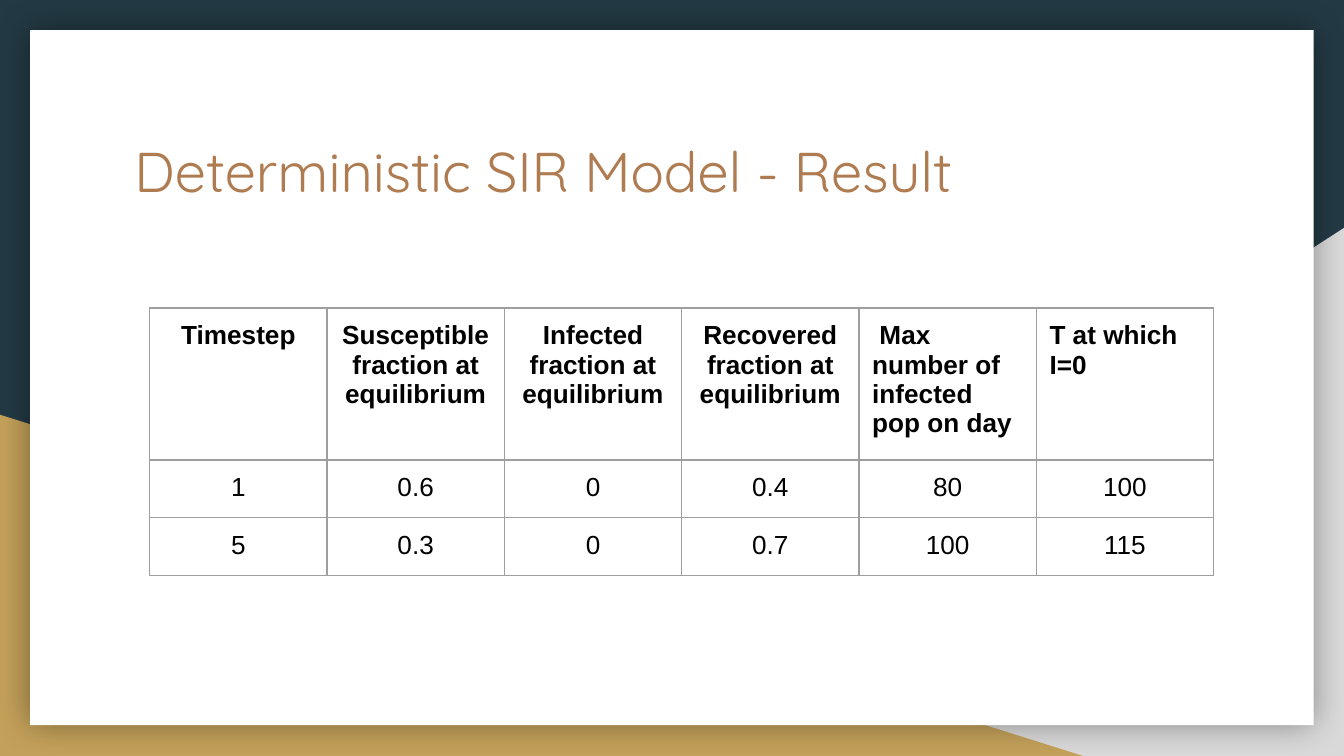
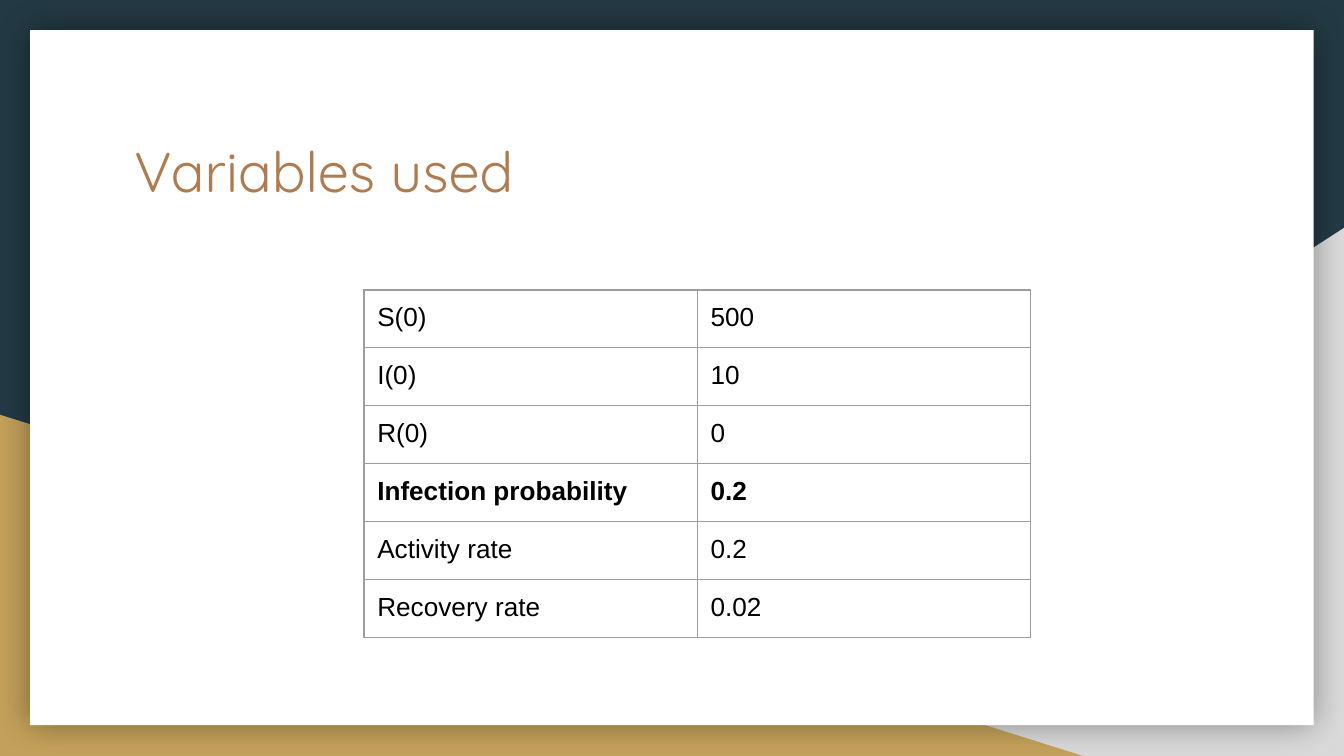
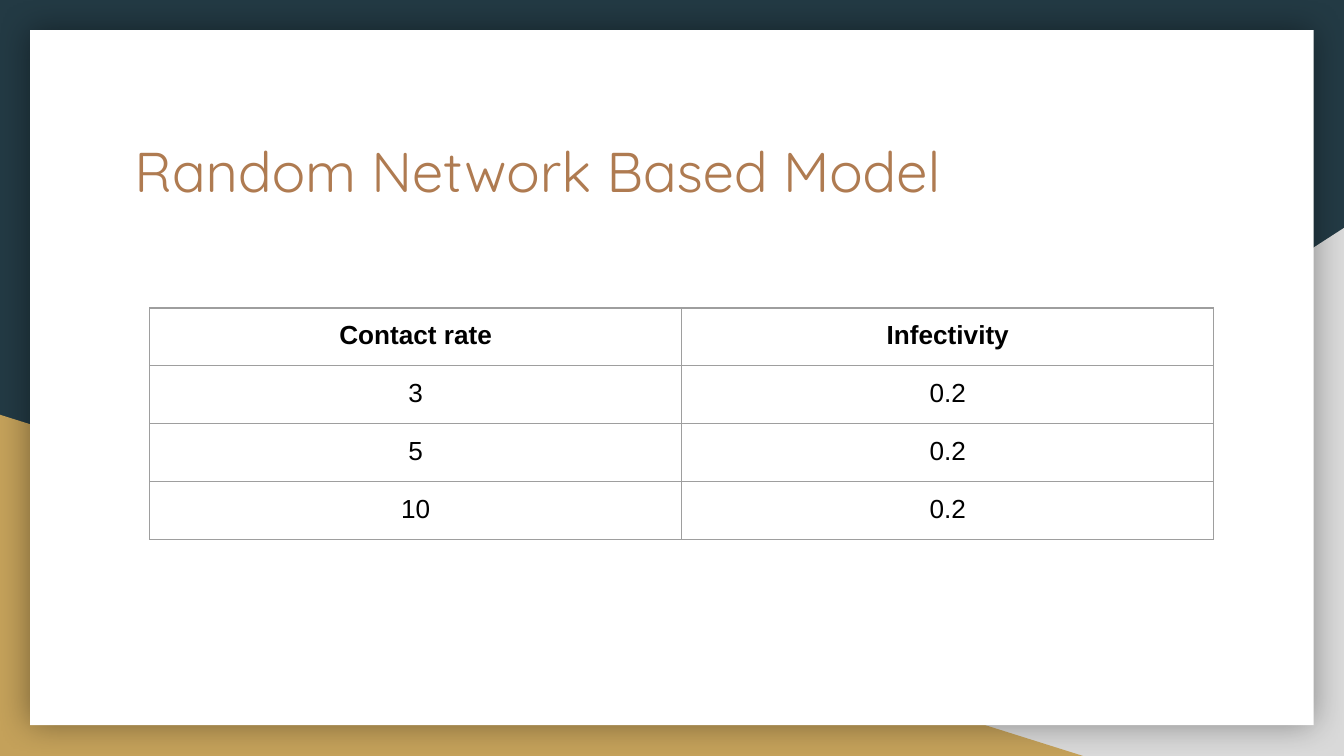
from lxml.etree import SubElement
from pptx import Presentation
from pptx.dml.color import RGBColor
from pptx.enum.shapes import MSO_SHAPE
from pptx.enum.text import PP_ALIGN
from pptx.oxml.ns import qn
from pptx.util import Cm, Pt

NAVY, GREY, GOLD, WHITE = "233A44", "D9D9D9", "C4A15A", "FFFFFF"
COPPER, BLACK, RULE = "AF7B51", "000000", "9E9E9E"
INSET = Cm(0.25)
ROW_HEIGHT = Cm(1.06)
WIDE_TABLE = (2.83, 5.82, 20.11)
NARROW_TABLE = (6.88, 5.48, 12.6)


def rgb(color):
    return RGBColor.from_string(color)


def style(p, font, size, color, bold=False):
    p.font.name = font
    p.font.size = Pt(size)
    p.font.color.rgb = rgb(color)
    p.font.bold = bold


def set_insets(box):
    """Give a text frame or a table cell the shared margin."""
    box.margin_left = box.margin_right = INSET
    box.margin_top = box.margin_bottom = INSET


def add_panel(slide, shape, left, top, width, height, color):
    sp = slide.shapes.add_shape(shape, Cm(left), Cm(top), Cm(width), Cm(height))
    sp.shadow.inherit = False
    sp.fill.solid()
    sp.fill.fore_color.rgb = rgb(color)
    sp.line.fill.background()
    return sp


def add_glow(sp):
    """Surround a shape with a soft black shadow."""
    effects = sp._element.spPr.find(qn("a:effectLst"))
    shadow = SubElement(effects, qn("a:outerShdw"), blurRad=str(Pt(18)),
                        dist="0", dir="0", algn="ctr", rotWithShape="0")
    color = SubElement(shadow, qn("a:srgbClr"), val=BLACK)
    SubElement(color, qn("a:alpha"), val="40000")


def add_slide(prs, title):
    """Add a slide with the shared backdrop, white card and title."""
    slide = prs.slides.add_slide(prs.slide_layouts[6])
    slide.background.fill.solid()
    slide.background.fill.fore_color.rgb = rgb(NAVY)

    triangle = MSO_SHAPE.RIGHT_TRIANGLE
    right_corner = add_panel(slide, triangle, 9.96, 4.31, 15.44, 9.98, GREY)
    right_corner._element.spPr.find(qn("a:xfrm")).set("flipH", "1")
    add_panel(slide, triangle, 0, 7.84, 20.47, 6.45, GOLD)
    card = add_panel(slide, MSO_SHAPE.RECTANGLE, 0.57, 0.57, 24.26, 13.14, WHITE)
    add_glow(card)

    tf = slide.shapes.add_textbox(Cm(2.29), Cm(2.34), Cm(20.85), Cm(2.64)).text_frame
    tf.word_wrap = True
    set_insets(tf)
    p = tf.paragraphs[0]
    p.text = title
    style(p, "Quicksand", 30, COPPER)
    return slide


def add_borders(cell):
    tc_pr = cell._tc.get_or_add_tcPr()
    for side in ("lnL", "lnR", "lnT", "lnB"):
        line = SubElement(tc_pr, qn(f"a:{side}"), w=str(Pt(0.75)))
        fill = SubElement(line, qn("a:solidFill"))
        SubElement(fill, qn("a:srgbClr"), val=RULE)


def add_grid(slide, place, rows, bold_row, left_cells=(), align=PP_ALIGN.CENTER):
    """Add a ruled table; left_cells lists (row, column) pairs aligned left."""
    left, top, width = place
    frame = slide.shapes.add_table(len(rows), len(rows[0]), Cm(left), Cm(top),
                                   Cm(width), ROW_HEIGHT * len(rows))
    table = frame.table
    table.first_row = table.horz_banding = False
    for i, row in enumerate(rows):
        table.rows[i].height = ROW_HEIGHT
        for j, text in enumerate(row):
            cell = table.cell(i, j)
            set_insets(cell)
            add_borders(cell)
            cell.fill.background()
            p = cell.text_frame.paragraphs[0]
            p.text = text
            p.alignment = PP_ALIGN.LEFT if (i, j) in left_cells else align
            style(p, "Arial", 14, BLACK, bold=i == bold_row)


def main():
    prs = Presentation()
    prs.slide_width, prs.slide_height = Cm(25.4), Cm(14.29)

    slide = add_slide(prs, "Deterministic SIR Model - Result")
    add_grid(slide, WIDE_TABLE, [
        ("Timestep", "Susceptible fraction at equilibrium",
         "Infected fraction at equilibrium", "Recovered fraction at equilibrium",
         " Max number of infected pop on day", "T at which I=0"),
        ("1", "0.6", "0", "0.4", "80", "100"),
        ("5", "0.3", "0", "0.7", "100", "115"),
    ], bold_row=0, left_cells=[(0, 4), (0, 5)])

    slide = add_slide(prs, "Variables used")
    add_grid(slide, NARROW_TABLE, [
        ("S(0)", "500"),
        ("I(0)", "10"),
        ("R(0)", "0"),
        ("Infection probability", "0.2"),
        ("Activity rate", "0.2"),
        ("Recovery rate", "0.02"),
    ], bold_row=3, align=PP_ALIGN.LEFT)

    slide = add_slide(prs, "Random Network Based Model")
    add_grid(slide, WIDE_TABLE, [
        ("Contact rate", "Infectivity"),
        ("3", "0.2"),
        ("5", "0.2"),
        ("10", "0.2"),
    ], bold_row=0)

    prs.save("out.pptx")


if __name__ == "__main__":
    main()
